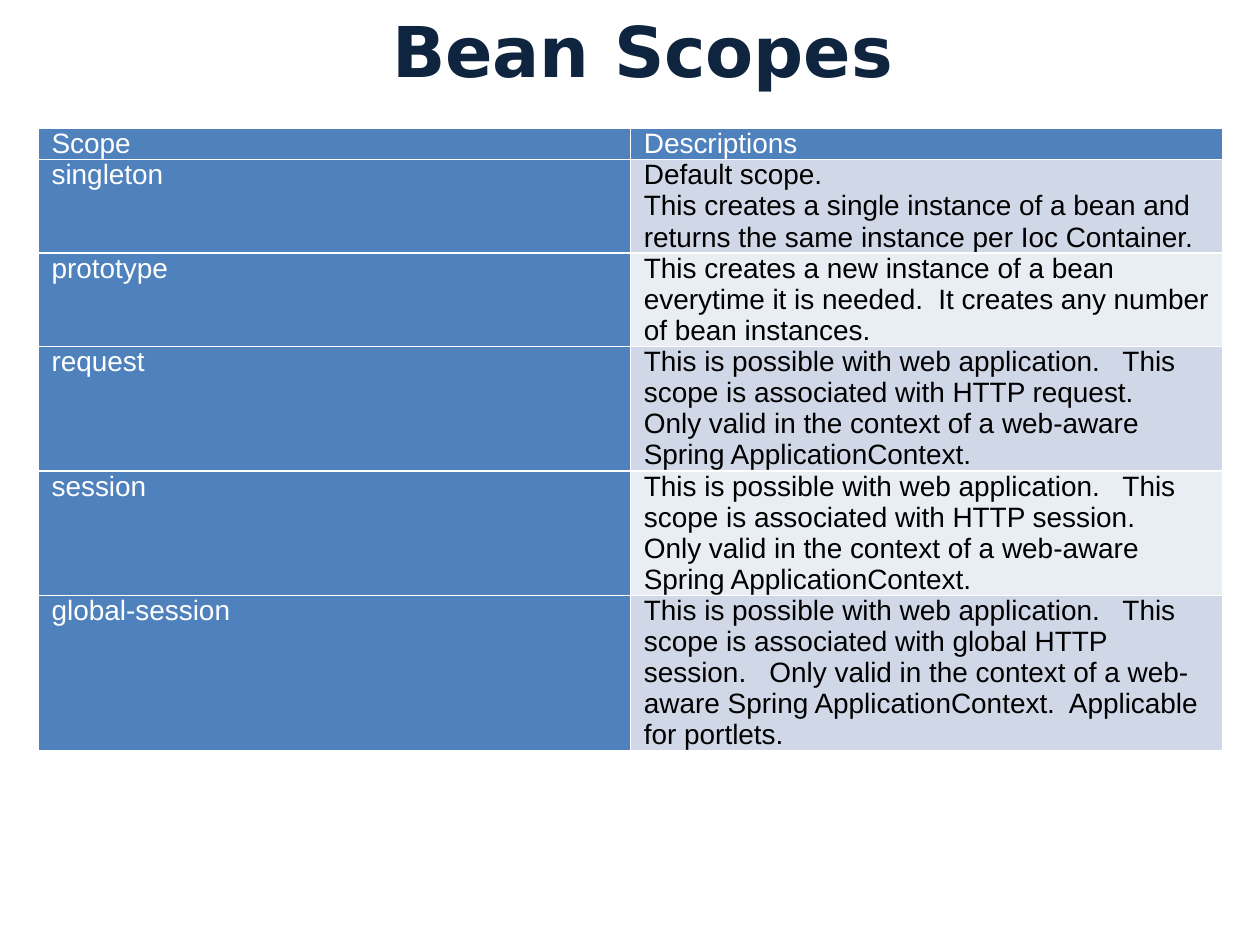
from dataclasses import dataclass

from lxml import etree
from pptx import Presentation
from pptx.dml.color import RGBColor
from pptx.enum.text import MSO_ANCHOR, PP_ALIGN
from pptx.oxml.ns import qn
from pptx.util import Cm, Pt

CENTER = PP_ALIGN.CENTER
MIDDLE = MSO_ANCHOR.MIDDLE


@dataclass(frozen=True)
class Theme:
    title_font: str = "DejaVu Sans"
    body_font: str = "Arial"
    title_size: int = 40
    body_size: int = 16
    title: str = "0F243E"
    accent: str = "4F81BD"
    bands: tuple = ("D0D8E8", "E9EDF4")
    light: str = "FFFFFF"
    dark: str = "000000"
    border_width: int = 1


theme = Theme()


def style_font(paragraph, name, size, color):
    paragraph.font.name = name
    paragraph.font.size = Pt(size)
    paragraph.font.color.rgb = RGBColor.from_string(color)


def add_borders(cell):
    properties = cell._tc.get_or_add_tcPr()
    for position, side in enumerate(("lnL", "lnR", "lnT", "lnB")):
        line = etree.Element(qn(f"a:{side}"), w=str(Pt(theme.border_width)))
        fill = etree.SubElement(line, qn("a:solidFill"))
        etree.SubElement(fill, qn("a:srgbClr"), val=theme.light)
        properties.insert(position, line)


web_scope = (
    "This is possible with web application.   This scope is associated with {}.   "
    "Only valid in the context of a web-aware Spring ApplicationContext."
)
scopes = [
    ("Scope", "Descriptions", 1),
    (
        "singleton",
        "Default scope.\nThis creates a single instance of a bean and returns "
        "the same instance per Ioc Container.",
        3,
    ),
    (
        "prototype",
        "This creates a new instance of a bean everytime it is needed.  "
        "It creates any number of bean instances.",
        3,
    ),
    ("request", web_scope.format("HTTP request"), 4),
    ("session", web_scope.format("HTTP session"), 4),
    (
        "global-session",
        web_scope.format("global HTTP session") + "  Applicable for portlets.",
        5,
    ),
]

presentation = Presentation()
presentation.slide_width = Cm(25.4)
presentation.slide_height = Cm(19.05)
slide = presentation.slides.add_slide(presentation.slide_layouts[6])

line_height = 0.627
line_total = sum(lines for _, _, lines in scopes)
table_shape = slide.shapes.add_table(
    len(scopes), 2, Cm(0.77), Cm(2.59), Cm(23.88), Cm(line_total * line_height)
)
table = table_shape.table
for column in table.columns:
    column.width = Cm(11.94)

for row_index, (scope, description, lines) in enumerate(scopes):
    table.rows[row_index].height = Cm(lines * line_height)
    for column_index, text in enumerate((scope, description)):
        cell = table.cell(row_index, column_index)
        cell.text = text
        cell.margin_left = cell.margin_right = Cm(0.27)
        cell.margin_top = cell.margin_bottom = 0
        is_heading = row_index == 0 or column_index == 0
        fill_color = theme.accent if is_heading else theme.bands[(row_index - 1) % 2]
        cell.fill.solid()
        cell.fill.fore_color.rgb = RGBColor.from_string(fill_color)
        add_borders(cell)
        for paragraph in cell.text_frame.paragraphs:
            text_color = theme.light if is_heading else theme.dark
            style_font(paragraph, theme.body_font, theme.body_size, text_color)
            paragraph.font.bold = False

title = slide.shapes.add_textbox(0, 0, Cm(25.4), Cm(1.98))
title_frame = title.text_frame
title_frame.word_wrap = True
title_frame.vertical_anchor = MIDDLE
title_frame.margin_left = Cm(0.76)
title_frame.margin_right = Cm(0.25)
paragraph = title_frame.paragraphs[0]
paragraph.text = "Bean Scopes"
paragraph.alignment = CENTER
style_font(paragraph, theme.title_font, theme.title_size, theme.title)
paragraph.font.bold = True

presentation.save("out.pptx")
